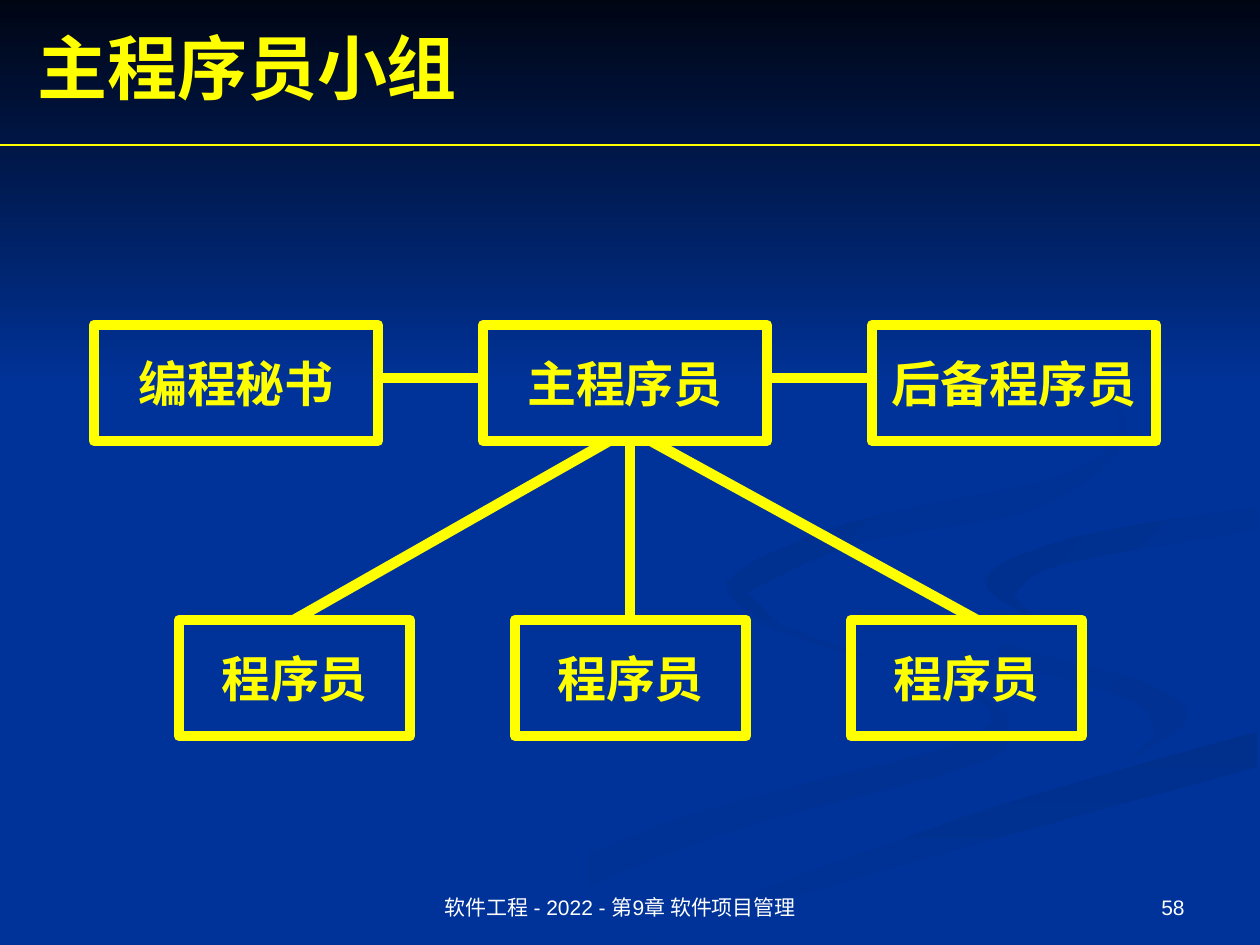
from lxml import etree
from pptx import Presentation
from pptx.dml.color import RGBColor
from pptx.enum.shapes import MSO_CONNECTOR, MSO_SHAPE
from pptx.enum.text import MSO_ANCHOR as ANCHOR, PP_ALIGN as ALIGN
from pptx.oxml.ns import qn
from pptx.util import Pt

PX = 914400 / 126
COLORS = {
    "blue": "003399",
    "night": "000514",
    "yellow": "FFFF00",
    "white": "FFFFFF",
    "shade": "003193",
    "deep": "002F8C",
}

# Background ribbons: outer edge, edge back, gradient start and end, angle
RIBBONS = [
    ([(724, 578), (759, 624), (900, 668), (989, 708), (944, 748), (679, 818), (378, 944)],
     [(455, 944), (711, 838), (969, 767), (1008, 732), (984, 697), (859, 654), (748, 611)],
     "blue", "shade", 0),
    ([(912, 585), (998, 641), (1140, 680), (1188, 718), (1126, 762)],
     [(1155, 737), (1134, 702), (1027, 668), (931, 622)], "blue", "shade", 45),
    ([(634, 944), (876, 872), (1257, 767)],
     [(1257, 732), (1004, 804), (717, 906)], "deep", "blue", 90),
    ([(1257, 507), (1071, 538), (985, 580), (1041, 625)],
     [(1014, 595), (1062, 564), (1257, 529)], "deep", "blue", 45),
    ([(960, 294), (1066, 352), (1120, 422), (1061, 476), (852, 522), (727, 582), (784, 630)],
     [(747, 592), (861, 542), (1040, 507), (1126, 433), (1076, 357)], "deep", "blue", 45),
]

# Team chart
LEADERS = ["编程秘书", "主程序员", "后备程序员"]
MEMBERS = ["程序员"] * 3
BOX_HEIGHT = 116
LEADER_LEFT, LEADER_TOP, LEADER_WIDTH, LEADER_STEP = 94, 325, 284, 389
MEMBER_LEFT, MEMBER_TOP, MEMBER_WIDTH, MEMBER_STEP = 179, 620, 231, 336
LEADER_LINK_Y = 378
FAN = [(609, 294), (630, 630), (651, 977)]


def px(value):
    return round(value * PX)


def rgb(name):
    return RGBColor.from_string(COLORS[name])


def smooth(knots, steps=5):
    """Catmull-Rom curve through the knots."""
    padded = [knots[0], *knots, knots[-1]]
    curve = []
    for a, b, c, d in zip(padded, padded[1:], padded[2:], padded[3:]):
        for t in (step / steps for step in range(steps)):
            curve.append(tuple(
                q + t * (r - p + t * (2 * p - 5 * q + 4 * r - s
                                      + t * (3 * q - p - 3 * r + s))) / 2
                for p, q, r, s in zip(a, b, c, d)))
    return curve + [knots[-1]]


def paint_gradient(shape, start, end, angle):
    shape.shadow.inherit = False
    shape.line.fill.background()
    shape.fill.gradient()
    shape.fill.gradient_angle = -angle % 360
    for stop, color, position in zip(shape.fill.gradient_stops, (start, end), (0, 1)):
        stop.color.rgb = rgb(color)
        stop.position = position


def add_ribbon(slide, edge, edge_back, *gradient):
    outline = smooth(edge) + smooth(edge_back)
    builder = slide.shapes.build_freeform(*outline[0], scale=PX)
    builder.add_line_segments(outline[1:], close=True)
    paint_gradient(builder.convert_to_shape(), *gradient)


def write_text(frame, text, size, color, font, align, anchor, bold=False):
    frame.vertical_anchor = anchor
    paragraph = frame.paragraphs[0]
    paragraph.alignment = align
    run = paragraph.add_run()
    run.text = text
    run.font.size = Pt(size)
    run.font.name = font
    run.font.bold = bold
    run.font.color.rgb = rgb(color)


def add_label(slide, bounds, *style, **options):
    label = slide.shapes.add_textbox(*map(px, bounds))
    label.text_frame.word_wrap = True
    write_text(label.text_frame, *style, **options)


def add_role_row(slide, roles, left, top, width, step):
    for index, role in enumerate(roles):
        bounds = (left + index * step, top, width, BOX_HEIGHT)
        box = slide.shapes.add_shape(MSO_SHAPE.RECTANGLE, *map(px, bounds))
        box.shadow.inherit = False
        box.fill.background()
        box.line.color.rgb = rgb("yellow")
        box.line.width = Pt(6)
        box.text_frame.word_wrap = False
        write_text(box.text_frame, role, 28, "yellow", "Times New Roman",
                   ALIGN.CENTER, ANCHOR.MIDDLE, bold=True)


def add_link(slide, ends, width):
    link = slide.shapes.add_connector(MSO_CONNECTOR.STRAIGHT, *map(px, ends))
    link.line.color.rgb = rgb("yellow")
    link.line.width = Pt(width)
    etree.SubElement(link._element.spPr, qn("a:effectLst"))


def main():
    prs = Presentation()
    prs.slide_width, prs.slide_height = px(1260), px(945)
    slide = prs.slides.add_slide(prs.slide_layouts[6])

    # Background
    slide.background.fill.solid()
    slide.background.fill.fore_color.rgb = rgb("blue")
    for ribbon in RIBBONS:
        add_ribbon(slide, *ribbon)
    sky = slide.shapes.add_shape(MSO_SHAPE.RECTANGLE, 0, 0, px(1260), px(388))
    paint_gradient(sky, "night", "blue", 90)

    # Team chart
    add_role_row(slide, LEADERS, LEADER_LEFT, LEADER_TOP, LEADER_WIDTH, LEADER_STEP)
    add_role_row(slide, MEMBERS, MEMBER_LEFT, MEMBER_TOP, MEMBER_WIDTH, MEMBER_STEP)
    for index in range(len(LEADERS) - 1):
        left = LEADER_LEFT + index * LEADER_STEP
        add_link(slide, (left + LEADER_WIDTH, LEADER_LINK_Y,
                         left + LEADER_STEP, LEADER_LINK_Y), 6)
    for leader_x, member_x in FAN:
        add_link(slide, (leader_x, LEADER_TOP + BOX_HEIGHT, member_x, MEMBER_TOP), 6)

    # Title and rule
    add_label(slide, (25, 18, 1134, 97), "主程序员小组", 40, "yellow",
              "Times New Roman", ALIGN.LEFT, ANCHOR.MIDDLE, bold=True)
    add_link(slide, (0, 145, 1260, 145), 0.75)

    # Footer and page number
    add_label(slide, (412, 861, 417, 65), "软件工程 - 2022 - 第9章 软件项目管理",
              12, "white", "Arial", ALIGN.CENTER, ANCHOR.BOTTOM)
    add_label(slide, (903, 861, 294, 65), "58", 12, "white", "Arial",
              ALIGN.RIGHT, ANCHOR.BOTTOM)

    prs.save("out.pptx")


if __name__ == "__main__":
    main()
